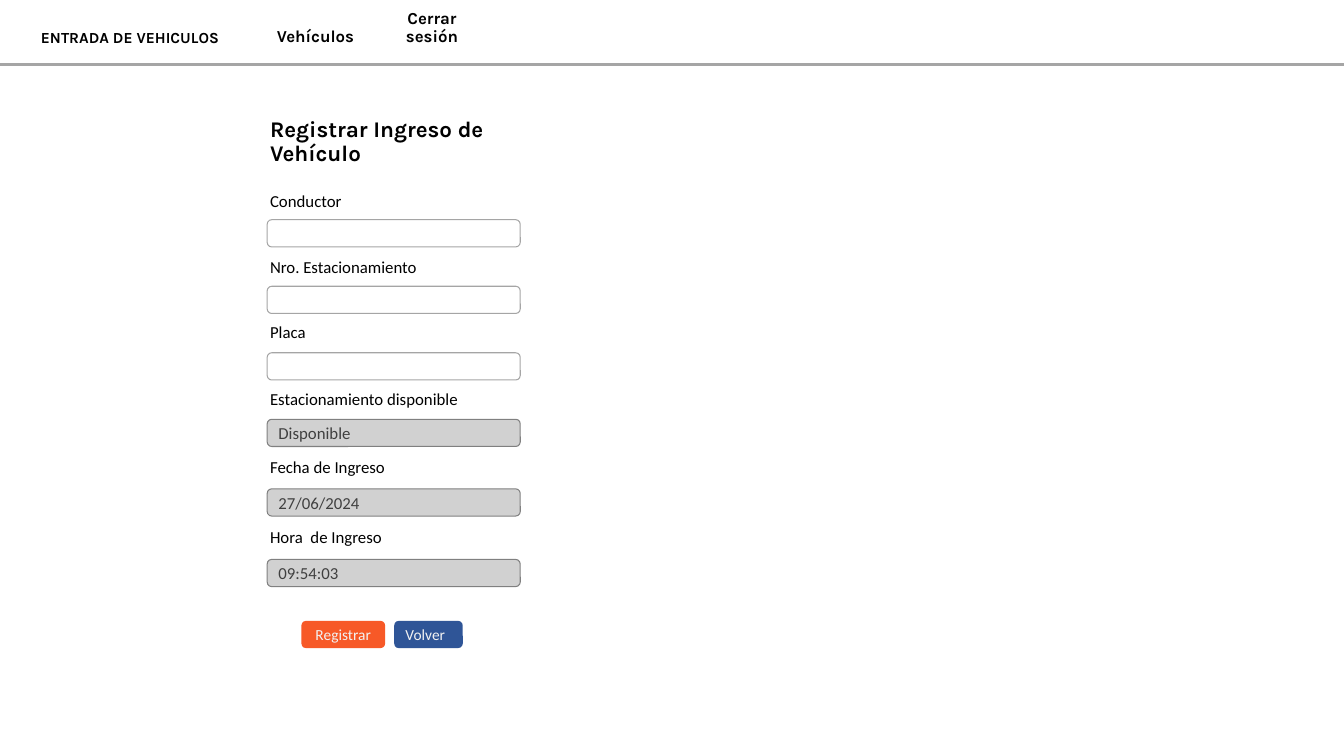
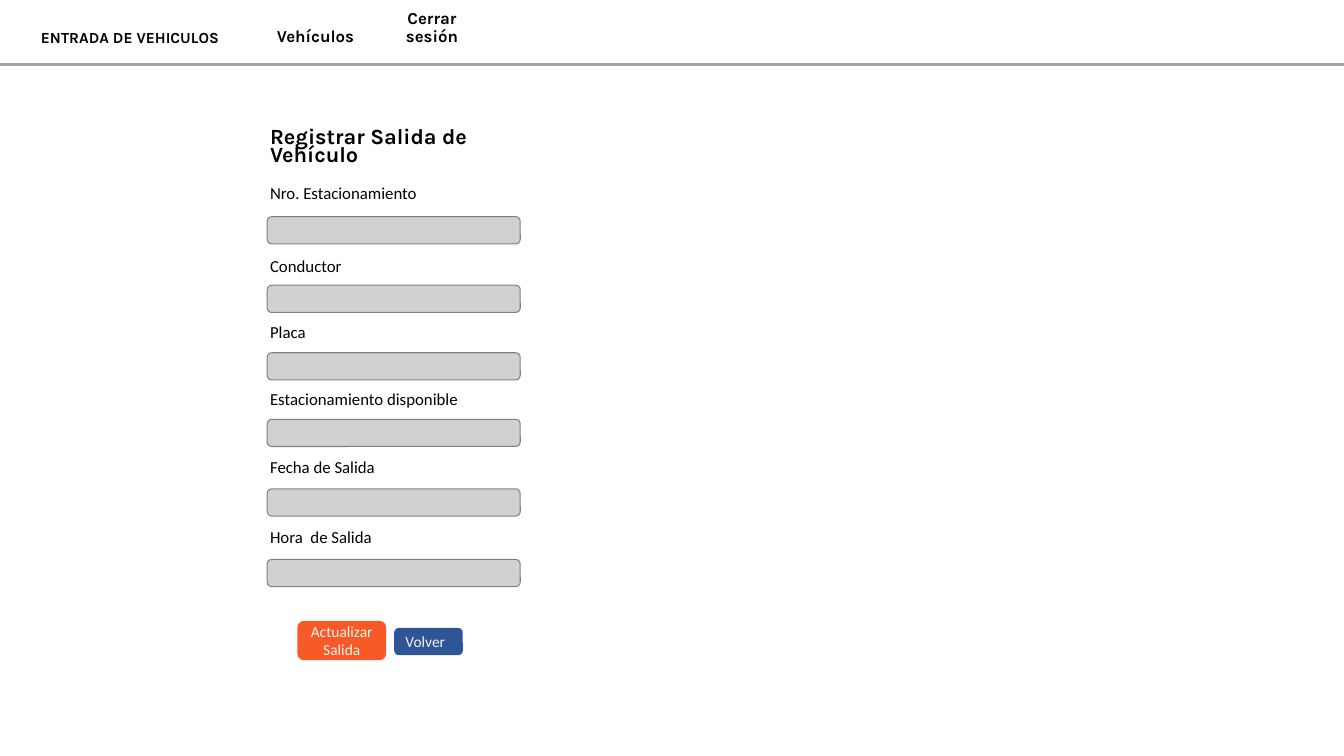
from lxml import etree
from pptx import Presentation
from pptx import util as u
from pptx.dml.color import RGBColor
from pptx.enum import shapes, text
from pptx.oxml.ns import qn

BLACK, GRAY, DARK_GRAY, EDGE = "000000", "A5A5A5", "404040", "808080"
ORANGE, BLUE, PALE = "F75927", "2F5597", "F2F2F2"

LEFT, CENTER = text.PP_ALIGN.LEFT, text.PP_ALIGN.CENTER
BOTTOM, MIDDLE, TOP = text.MSO_ANCHOR.BOTTOM, text.MSO_ANCHOR.MIDDLE, text.MSO_ANCHOR.TOP

HEADING = {"name": "Karla", "bold": True}
BODY = {"name": "Calibri", "bold": False}

# Regions as left, top, width, height in inches
SLIDE_WIDTH, SLIDE_HEIGHT = 13.33, 7.5
HEADER = (0, 0.1, SLIDE_WIDTH, 0.41)
FORM = (2.58, 1.26, 2.98, 5.3)
FIELD_INDENT, FIELD_WIDTH, FIELD_HEIGHT = 0.07, 2.51, 0.27


def color(hex_string):
    return RGBColor.from_string(hex_string)


def inches(*lengths):
    return [u.Inches(length) for length in lengths]


def write(shape, words, size, font, hex_color=BLACK, align=LEFT, anchor=MIDDLE,
          spacing=1.0, wrap=True):
    """Fill the text frame of a shape with one formatted paragraph."""
    frame = shape.text_frame
    frame.text = words
    fit = text.MSO_AUTO_SIZE.NONE if wrap else text.MSO_AUTO_SIZE.SHAPE_TO_FIT_TEXT
    for name, value in {"word_wrap": wrap, "auto_size": fit, "vertical_anchor": anchor}.items():
        setattr(frame, name, value)
    paragraph = frame.paragraphs[0]
    paragraph.alignment = align
    paragraph.line_spacing = spacing
    run_font = paragraph.runs[0].font
    for name, value in {**font, "size": u.Pt(size)}.items():
        setattr(run_font, name, value)
    run_font.color.rgb = color(hex_color)


def add_text(slide, box, words, size, font, **options):
    write(slide.shapes.add_textbox(*inches(*box)), words, size, font, **options)


def add_rounded(slide, box, fill=None, line=None, alpha=None):
    shape = slide.shapes.add_shape(shapes.MSO_SHAPE.ROUNDED_RECTANGLE, *inches(*box))
    shape.shadow.inherit = False
    if fill:
        shape.fill.solid()
        shape.fill.fore_color.rgb = color(fill)
    else:
        shape.fill.background()
    if line:
        shape.line.color.rgb = color(line)
        shape.line.width = u.Pt(0.75)
    else:
        shape.line.fill.background()
    if alpha:
        fill_color = shape._element.spPr.find(qn("a:solidFill"))[0]
        etree.SubElement(fill_color, qn("a:alpha")).set("val", str(alpha * 1000))
    return shape


def add_header(slide, box):
    """Title, menu entries and the rule under them."""
    left, top, width, height = box
    style = {"align": CENTER, "anchor": BOTTOM, "spacing": 0.9}

    # Title
    title = slide.shapes.title
    title_width = 2.58
    title.left, title.top, title.width, title.height = inches(left, top, title_width, height)
    write(title, "ENTRADA DE VEHICULOS", 11, HEADING, **style)

    # Menu
    item_left = left + title_width
    for words, item_width in (("Vehículos", 1.1), ("Cerrar sesión", 1.21)):
        add_text(slide, (item_left, top, item_width, height), words, 12, HEADING, **style)
        item_left += item_width

    # Rule
    rule_top = top + height + 0.13
    rule = slide.shapes.add_connector(
        shapes.MSO_CONNECTOR.STRAIGHT, *inches(left, rule_top, left + width, rule_top))
    rule.line.color.rgb = color(GRAY)
    rule.line.width = u.Pt(2.25)
    etree.SubElement(rule._element.spPr, qn("a:effectLst"))


def add_field(slide, box, label, gap, value):
    """Label with its input below; a value of None leaves the input open."""
    left, top, width, height = box
    add_text(slide, (left, top, width, 0.3), label, 12, BODY, anchor=TOP, wrap=False)
    field_box = (left + FIELD_INDENT, top + gap, FIELD_WIDTH, height)
    if value is None:
        add_rounded(slide, field_box, line=GRAY)
        return
    field = add_rounded(slide, field_box, fill=GRAY, line=EDGE, alpha=50)
    if value:
        write(field, value, 12, BODY, DARK_GRAY)


def add_form(slide, box, form):
    """Heading, stacked fields and the two buttons."""
    left, top, width, height = box
    heading, size, spacing = form["heading"]
    add_text(slide, (left, top, width, 0.44), heading, size, HEADING,
             anchor=BOTTOM, spacing=spacing)

    # Fields
    for (offset, gap), (label, label_width, value) in zip(form["rows"], form["fields"]):
        add_field(slide, (left, top + offset, label_width, FIELD_HEIGHT), label, gap, value)

    # Buttons
    action, action_left, action_width, action_height = form["action"]
    buttons_top = top + 4.9
    button = add_rounded(
        slide, (left + action_left, buttons_top, action_width, action_height), ORANGE)
    write(button, action, 11, BODY, PALE, CENTER)
    back_top = buttons_top + form["back_drop"]
    back = add_rounded(slide, (left + 1.33, back_top, 0.68, FIELD_HEIGHT), BLUE)
    write(back, "Volver", 11, BODY, PALE)


# Field rows: label offset from the form top, then gap from label to input
LOWER_ROWS = [(1.88, 0.36), (2.55, 0.35), (3.22, 0.37), (3.92, 0.37)]

ENTRY_FORM = {
    "heading": ("Registrar Ingreso de Vehículo", 16, 0.9),
    "rows": [(0.58, 0.34), (1.24, 0.34)] + LOWER_ROWS,
    "fields": [
        ("Conductor", 0.92, None),
        ("Nro. Estacionamiento", 1.67, None),
        ("Placa", 0.56, None),
        ("Estacionamiento disponible", 2.08, "Disponible"),
        ("Fecha de Ingreso", 1.39, "27/06/2024"),
        ("Hora  de Ingreso", 1.32, "09:54:03"),
    ],
    "action": ("Registrar", 0.41, 0.83, FIELD_HEIGHT),
    "back_drop": 0,
}

EXIT_FORM = {
    "heading": ("Registrar Salida de Vehículo", 15.5, 0.7),
    "rows": [(0.5, 0.39), (1.23, 0.34)] + LOWER_ROWS,
    "fields": [
        ("Nro. Estacionamiento", 1.67, ""),
        ("Conductor", 0.92, ""),
        ("Placa", 0.56, ""),
        ("Estacionamiento disponible", 2.08, ""),
        ("Fecha de Salida", 1.25, ""),
        ("Hora  de Salida", 1.22, ""),
    ],
    "action": ("Actualizar Salida", 0.37, 0.88, 0.39),
    "back_drop": 0.07,
}


def main():
    presentation = Presentation()
    presentation.slide_width, presentation.slide_height = inches(SLIDE_WIDTH, SLIDE_HEIGHT)
    title_only = presentation.slide_layouts[5]
    for form in (ENTRY_FORM, EXIT_FORM):
        slide = presentation.slides.add_slide(title_only)
        add_header(slide, HEADER)
        add_form(slide, FORM, form)
    presentation.save("out.pptx")


if __name__ == "__main__":
    main()
